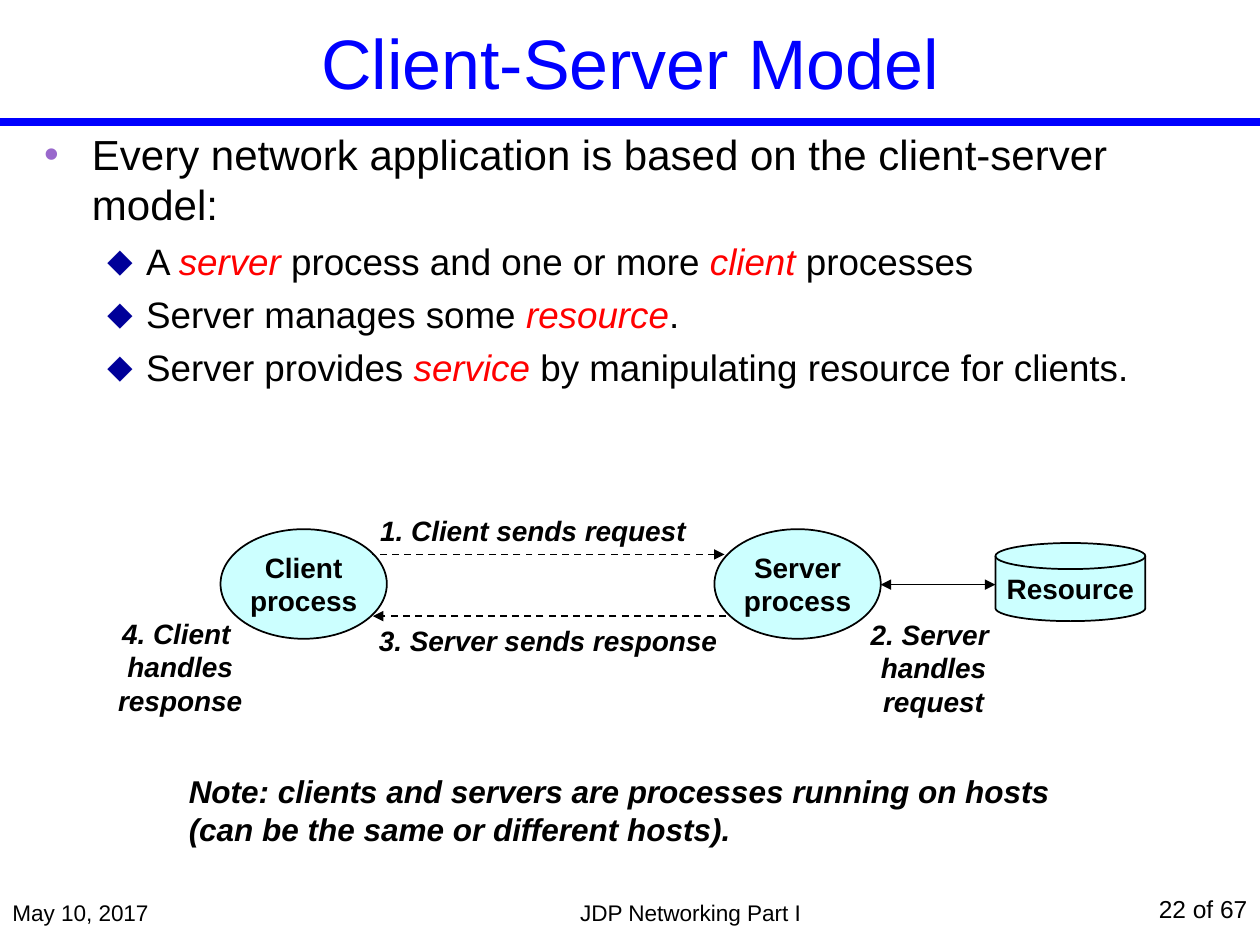
from dataclasses import dataclass

from lxml import etree
from pptx import Presentation
from pptx import util as u
from pptx.dml import color
from pptx.enum import dml, shapes, text
from pptx.oxml import ns


@dataclass(frozen=True)
class Theme:
    """Colours, type sizes and spacing of the slide."""
    font: str = "Arial"
    blue: str = "0000FF"
    black: str = "000000"
    red: str = "FF0000"
    aqua: str = "CCFFFF"
    title: float = 40
    label: float = 16
    note: float = 18
    footer: float = 12.9
    page: float = 14
    outline: float = 0.99
    line_spacing: float = 1.0


THEME = Theme()
LEFT, CENTER, RIGHT = text.PP_ALIGN.LEFT, text.PP_ALIGN.CENTER, text.PP_ALIGN.RIGHT
TOP, MIDDLE = text.MSO_ANCHOR.TOP, text.MSO_ANCHOR.MIDDLE


@dataclass(frozen=True)
class Node:
    """A filled shape of the diagram."""
    kind: shapes.MSO_SHAPE
    box: tuple
    lines: tuple


@dataclass(frozen=True)
class Label:
    """A free piece of text."""
    box: tuple
    lines: tuple
    size: float = THEME.label
    align: text.PP_ALIGN = CENTER
    anchor: text.MSO_ANCHOR = MIDDLE
    strong: bool = True
    wrap: bool = False
    side_margin: float = 0


@dataclass(frozen=True)
class Arrow:
    """A straight line with optional arrowheads at its ends."""
    start: tuple
    end: tuple
    head: bool = False
    tail: bool = False
    dashed: bool = False
    colour: str = THEME.black
    width: float = THEME.outline


@dataclass(frozen=True)
class Level:
    """The format of one list level."""
    size: float
    left: float
    hanging: float
    before: float
    bullet: str
    bullet_colour: str


LEVELS = (Level(24, 0.38, 0.38, 6, "\u2022", "9968CC"),
          Level(21, 0.81, 0.31, 5.2, "\u2b25", "000099"))
# Words between asterisks are emphasised.
POINTS = (
    (0, "Every network application is based on the client-server model:"),
    (1, "A *server* process and one or more *client *processes"),
    (1, "Server manages some *resource*."),
    (1, "Server provides *service* by manipulating resource for clients."),
)
OVAL = shapes.MSO_SHAPE.OVAL
NODES = (
    Node(OVAL, (1.75, 4.2, 1.32, 0.87), ("Client", "process")),
    Node(OVAL, (5.67, 4.2, 1.32, 0.87), ("Server", "process")),
    Node(shapes.MSO_SHAPE.FLOWCHART_MAGNETIC_DISK, (7.9, 4.31, 1.19, 0.62), ("Resource",)),
)
ARROWS = (
    Arrow((0, 0.97), (10, 0.97), colour=THEME.blue, width=4.51),
    Arrow((5.75, 4.4), (2.95, 4.4), head=True, dashed=True),
    Arrow((5.76, 4.89), (2.96, 4.89), tail=True, dashed=True),
    Arrow((6.99, 4.64), (7.9, 4.64), head=True, tail=True),
)
STEPS = (
    Label((2.92, 4.02, 2.62, 0.37), ("1. Client sends request",)),
    Label((6.81, 4.85, 1.2, 0.9), ("2. Server ", "handles", "request")),
    Label((2.91, 4.9, 2.88, 0.37), ("3. Server sends response",)),
    Label((0.84, 4.84, 1.18, 0.9), ("4. Client ", "handles", "response")),
)
FOOTERS = tuple(
    Label(box, (words,), size, align, strong=False, wrap=True, side_margin=0.1)
    for box, words, size, align in (
        ((0, 7.08, 2.57, 0.33), "May 10, 2017", THEME.footer, LEFT),
        ((2.57, 7.08, 5.82, 0.33), "JDP Networking Part I", THEME.footer, CENTER),
        ((8.39, 7, 1.61, 0.42), "22 of 67", THEME.page, RIGHT)))
NOTE = Label((1.4, 6.08, 7.1, 0.7),
             ("Note: clients and servers are processes running on hosts ",
              "(can be the same or different hosts)."),
             THEME.note, LEFT, TOP, side_margin=0.1)


def apply(target, values: dict) -> None:
    """Set each named attribute of the target."""
    for name, value in values.items():
        setattr(target, name, value)


def inches(values: tuple) -> list:
    """Turn plain numbers into lengths."""
    return [u.Inches(value) for value in values]


def place(shape, box: tuple) -> None:
    """Move and size a shape."""
    apply(shape, dict(zip(("left", "top", "width", "height"), inches(box))))


def add_run(paragraph, words: str, size: float, colour: str = THEME.black,
            bold: bool = False, italic: bool = False) -> None:
    """Add one formatted run."""
    run = paragraph.add_run()
    run.text = words
    apply(run.font, {"name": THEME.font, "size": u.Pt(size), "bold": bold, "italic": italic})
    run.font.color.rgb = color.RGBColor.from_string(colour)


def write_lines(frame, lines: tuple, size: float, align: text.PP_ALIGN = CENTER,
                colour: str = THEME.black, bold: bool = False, italic: bool = False) -> None:
    """Fill a text frame with one paragraph for each line."""
    for index, words in enumerate(lines):
        paragraph = frame.add_paragraph() if index else frame.paragraphs[0]
        apply(paragraph, {"alignment": align, "line_spacing": THEME.line_spacing})
        add_run(paragraph, words, size, colour, bold, italic)


def add_node(slide, node: Node) -> None:
    """Draw a diagram shape with its caption."""
    shape = slide.shapes.add_shape(node.kind, *inches(node.box))
    shape.shadow.inherit = False
    shape.fill.solid()
    shape.fill.fore_color.rgb = color.RGBColor.from_string(THEME.aqua)
    shape.line.color.rgb = color.RGBColor.from_string(THEME.black)
    shape.line.width = u.Pt(THEME.outline)
    apply(shape.text_frame, {"word_wrap": False, "vertical_anchor": MIDDLE})
    write_lines(shape.text_frame, node.lines, THEME.label, bold=True)


def add_label(slide, label: Label) -> None:
    """Draw a text box of fixed size."""
    frame = slide.shapes.add_textbox(*inches(label.box)).text_frame
    margin = u.Inches(label.side_margin)
    apply(frame, {"word_wrap": label.wrap, "auto_size": text.MSO_AUTO_SIZE.NONE,
                  "vertical_anchor": label.anchor,
                  "margin_left": margin, "margin_right": margin})
    write_lines(frame, label.lines, label.size, label.align,
                bold=label.strong, italic=label.strong)


def add_arrow(slide, arrow: Arrow) -> None:
    """Draw a line without shadow, with its arrowheads."""
    connector = slide.shapes.add_connector(
        shapes.MSO_CONNECTOR.STRAIGHT, *inches(arrow.start + arrow.end))
    connector.line.color.rgb = color.RGBColor.from_string(arrow.colour)
    connector.line.width = u.Pt(arrow.width)
    if arrow.dashed:
        connector.line.dash_style = dml.MSO_LINE.DASH
    properties = connector._element.spPr
    outline = properties.find(ns.qn("a:ln"))
    for tag, shown in (("a:headEnd", arrow.head), ("a:tailEnd", arrow.tail)):
        if shown:
            etree.SubElement(outline, ns.qn(tag), type="triangle")
    etree.SubElement(properties, ns.qn("a:effectLst"))


def add_point(paragraph, depth: int, words: str) -> None:
    """Write one list item with its bullet and emphasised words."""
    level = LEVELS[depth]
    apply(paragraph, {"level": depth, "space_before": u.Pt(level.before),
                      "line_spacing": THEME.line_spacing})
    properties = paragraph._p.get_or_add_pPr()
    properties.set("marL", str(u.Inches(level.left)))
    properties.set("indent", str(-u.Inches(level.hanging)))
    bullet_colour = etree.SubElement(properties, ns.qn("a:buClr"))
    etree.SubElement(bullet_colour, ns.qn("a:srgbClr"), val=level.bullet_colour)
    etree.SubElement(properties, ns.qn("a:buFont"), typeface=THEME.font)
    etree.SubElement(properties, ns.qn("a:buChar"), char=level.bullet)
    for index, part in enumerate(words.split("*")):
        emphasised = index % 2 == 1
        add_run(paragraph, part, level.size, THEME.red if emphasised else THEME.black,
                italic=emphasised)


def main() -> None:
    """Build and save the slide."""
    presentation = Presentation()
    apply(presentation, {"slide_width": u.Inches(10), "slide_height": u.Inches(7.5)})
    slide = presentation.slides.add_slide(presentation.slide_layouts[1])
    title, body = slide.placeholders
    for shape, box, anchor in ((title, (0, 0, 10, 0.97), MIDDLE),
                               (body, (0.25, 0.97, 9.52, 2.25), TOP)):
        place(shape, box)
        apply(shape.text_frame, {"word_wrap": True, "auto_size": text.MSO_AUTO_SIZE.NONE,
                                 "vertical_anchor": anchor})
    write_lines(title.text_frame, ("Client-Server Model",), THEME.title, colour=THEME.blue)
    frame = body.text_frame
    for index, (depth, words) in enumerate(POINTS):
        add_point(frame.add_paragraph() if index else frame.paragraphs[0], depth, words)
    for items, draw in ((NODES, add_node), (ARROWS, add_arrow),
                        (STEPS + (NOTE,) + FOOTERS, add_label)):
        for item in items:
            draw(slide, item)
    presentation.save("out.pptx")


main()
